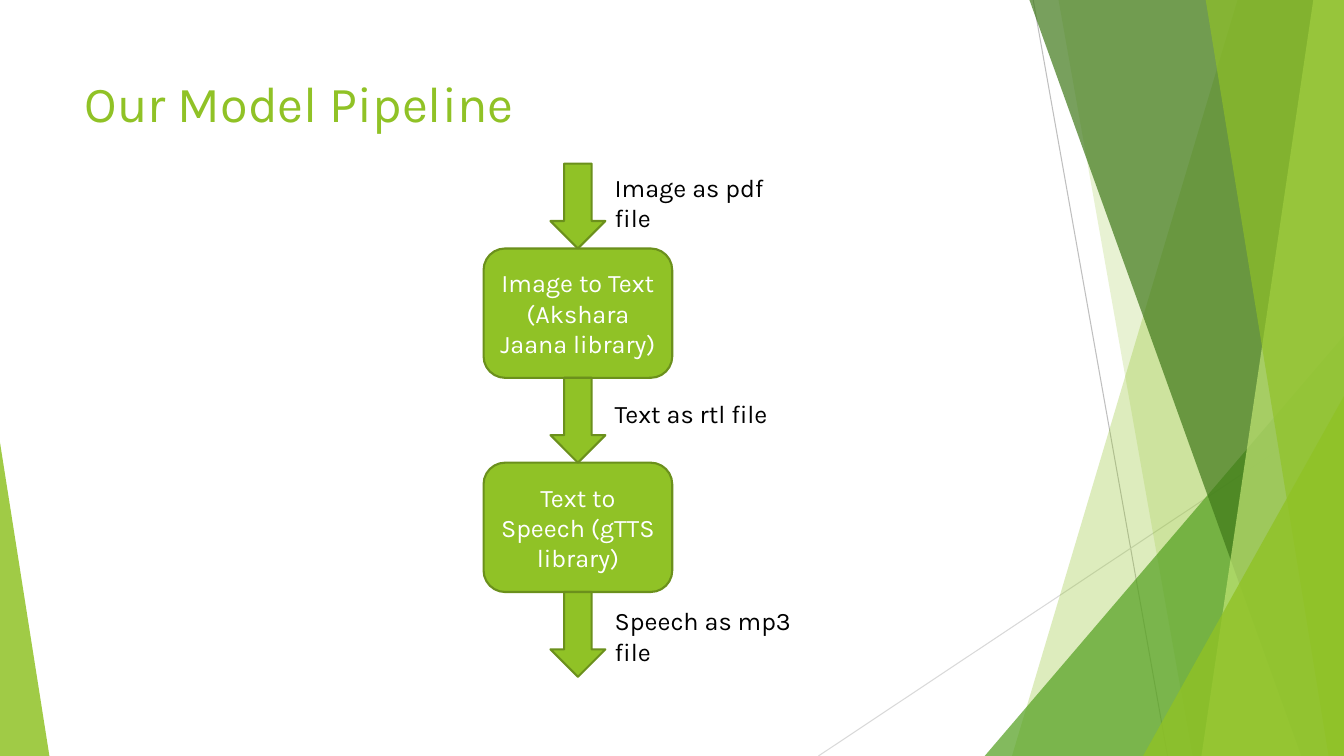
from lxml.etree import SubElement
from pptx import Presentation
from pptx.dml.color import RGBColor
from pptx.enum.shapes import MSO_CONNECTOR as Connector, MSO_SHAPE as Shape
from pptx.enum.text import MSO_ANCHOR as Anchor, PP_ALIGN as Align
from pptx.oxml.ns import qn
from pptx.util import Pt

LIME = RGBColor(0x90, 0xC2, 0x26)
OLIVE = RGBColor(0x6B, 0x90, 0x1C)
GREEN = RGBColor(0x54, 0xA0, 0x21)
FOREST = RGBColor(0x3F, 0x78, 0x19)
PALE = RGBColor(0xC0, 0xE4, 0x74)
GRAY = RGBColor(0xBF, 0xBF, 0xBF)
LIGHT_GRAY = RGBColor(0xD9, 0xD9, 0xD9)
WHITE = RGBColor(0xFF, 0xFF, 0xFF)
BLACK = RGBColor(0, 0, 0)
FONT = "Karla"
WIDTH, HEIGHT = 960, 540

TITLE = "Our Model Pipeline"
STAGES = ["Image to Text (Akshara Jaana library)", "Text to Speech (gTTS library)"]
FLOWS = [
    ("Image as pdf file", 119.5, 150.5),
    ("Text as rtl file", 280.8, 128.9),
    ("Speech as mp3 file", 429.1, 167),
]

RAYS = [
    ((738, 0), (834, HEIGHT), GRAY),
    ((WIDTH, 290.2), (584.6, HEIGHT), LIGHT_GRAY),
]
FACETS = [
    ("band", (884.2, 722.9), LIME, 30),
    ("band", (756, 851.8), LIME, 20),
    ("corner", (703.4, WIDTH, 239.8, 1), GREEN, 72),
    ("band", (735.1, 929.5), FOREST, 70),
    ("band", (938.2, 858.2), PALE, 70),
    ("band", (861.1, 949), LIME, 65),
    ("corner", (816.5, WIDTH, 283, 1), LIME, 80),
    ("corner", (0, 35.3, 316.1, 0), LIME, 85),
]

BOX_LEFT, BOX_TOP, BOX_WIDTH, BOX_HEIGHT = 345.4, 177.5, 134.8, 92.4
ARROW_WIDTH, ARROW_HEIGHT = 39.2, 60.6
STEP = BOX_HEIGHT + ARROW_HEIGHT
LABEL_LEFT, LABEL_HEIGHT = 432, 29

deck = Presentation()
deck.slide_width, deck.slide_height = Pt(WIDTH), Pt(HEIGHT)
slide = deck.slides.add_slide(deck.slide_layouts[5])
shapes = slide.shapes


def add_preset(kind, left, top, width, height):
    return shapes.add_shape(kind, Pt(left), Pt(top), Pt(width), Pt(height))


def paint(part, color, outline=None):
    part.shadow.inherit = False
    part.fill.solid()
    part.fill.fore_color.rgb = color
    if outline is None:
        part.line.fill.background()
    else:
        part.line.color.rgb = outline
        part.line.width = Pt(1.5)


def write(frame, text, size, color, align, anchor):
    frame.word_wrap = True
    frame.vertical_anchor = anchor
    paragraph = frame.paragraphs[0]
    paragraph.alignment = align
    run = paragraph.add_run()
    run.text = text
    run.font.name = FONT
    run.font.size = Pt(size)
    run.font.color.rgb = color


def add_band(top_x, foot_x):
    top, foot = Pt(-0.7), Pt(HEIGHT)
    outline = shapes.build_freeform(Pt(top_x), top, scale=1)
    outline.add_line_segments(
        [(Pt(WIDTH), top), (Pt(WIDTH), foot), (Pt(foot_x), foot)], close=True)
    return outline.convert_to_shape()


def add_corner(left, right, top, apex):
    corner = add_preset(Shape.ISOSCELES_TRIANGLE, left, top, right - left, HEIGHT - top)
    corner.adjustments[0] = apex
    return corner


for start, end, color in RAYS:
    ray = shapes.add_connector(Connector.STRAIGHT, *map(Pt, start + end))
    ray.line.color.rgb = color
    ray.line.width = Pt(0.75)
    SubElement(ray.element.spPr, qn("a:effectLst"))

for kind, geometry, color, opacity in FACETS:
    facet = add_band(*geometry) if kind == "band" else add_corner(*geometry)
    paint(facet, color)
    tint = facet.element.spPr.find(qn("a:solidFill")).find(qn("a:srgbClr"))
    SubElement(tint, qn("a:alpha")).set("val", str(opacity * 1000))

title = shapes.title
title.left, title.top, title.width, title.height = map(Pt, (53.3, 48, 676.8, 104))
write(title.text_frame, TITLE, 36, LIME, Align.LEFT, Anchor.TOP)

for index, stage in enumerate(STAGES):
    box = add_preset(Shape.ROUNDED_RECTANGLE, BOX_LEFT, BOX_TOP + index * STEP,
                     BOX_WIDTH, BOX_HEIGHT)
    paint(box, LIME, OLIVE)
    write(box.text_frame, stage, 18, WHITE, Align.CENTER, Anchor.MIDDLE)

for index, (flow, label_top, label_width) in enumerate(FLOWS):
    arrow = add_preset(Shape.DOWN_ARROW, BOX_LEFT + (BOX_WIDTH - ARROW_WIDTH) / 2,
                       BOX_TOP - ARROW_HEIGHT + index * STEP, ARROW_WIDTH, ARROW_HEIGHT)
    paint(arrow, LIME, OLIVE)
    label = shapes.add_textbox(Pt(LABEL_LEFT), Pt(label_top), Pt(label_width), Pt(LABEL_HEIGHT))
    write(label.text_frame, flow, 18, BLACK, Align.LEFT, Anchor.TOP)

deck.save("out.pptx")
